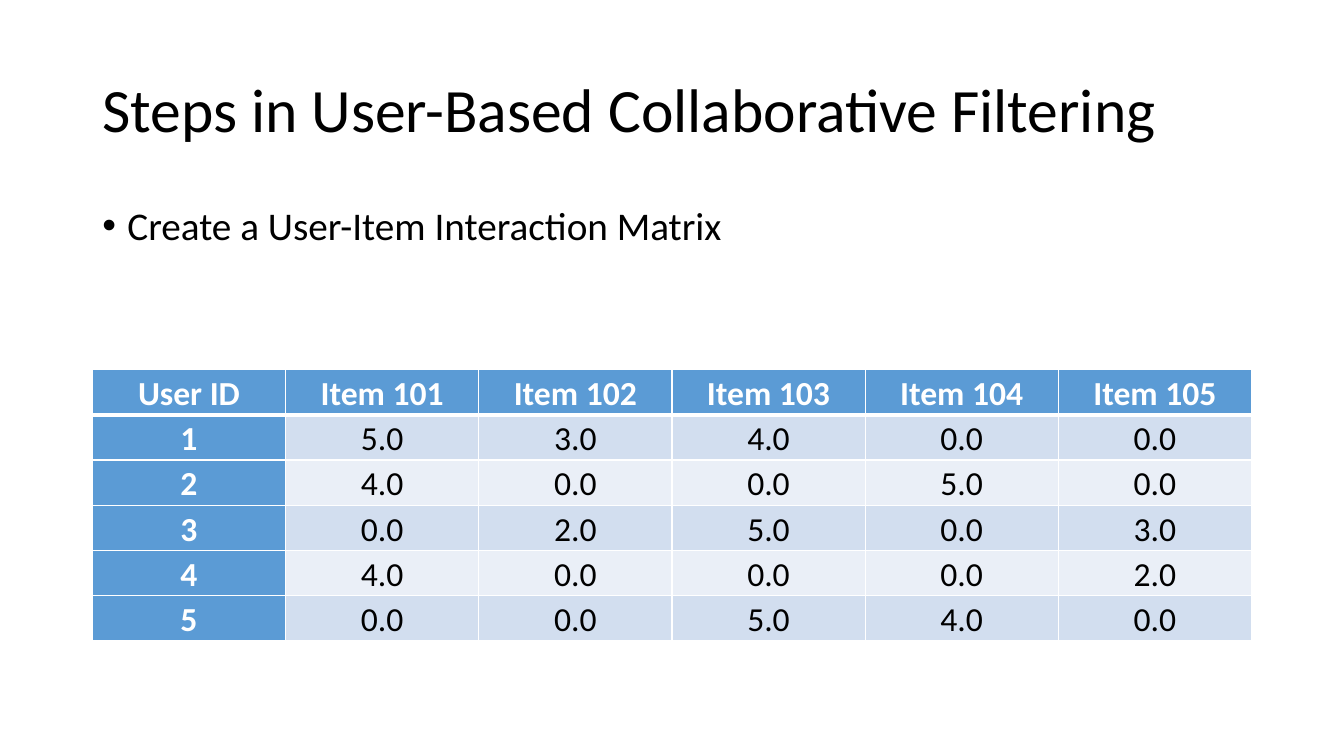
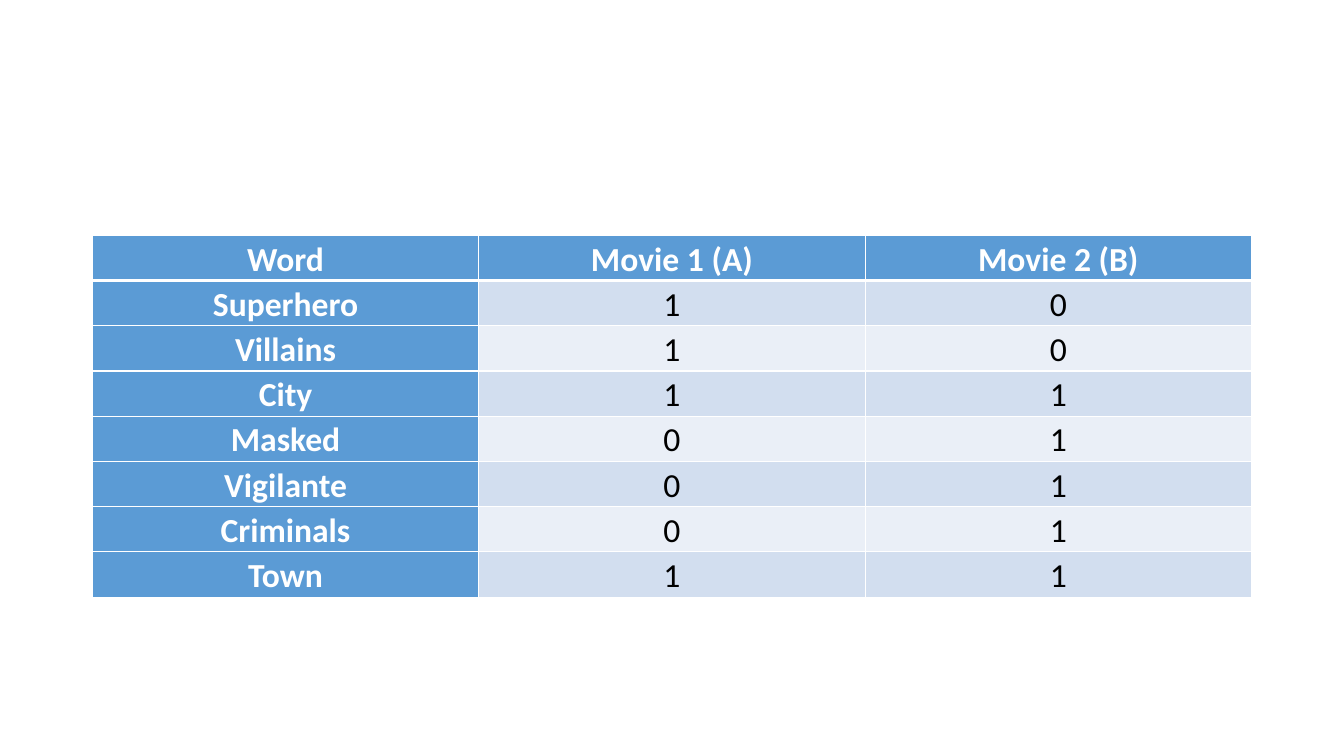
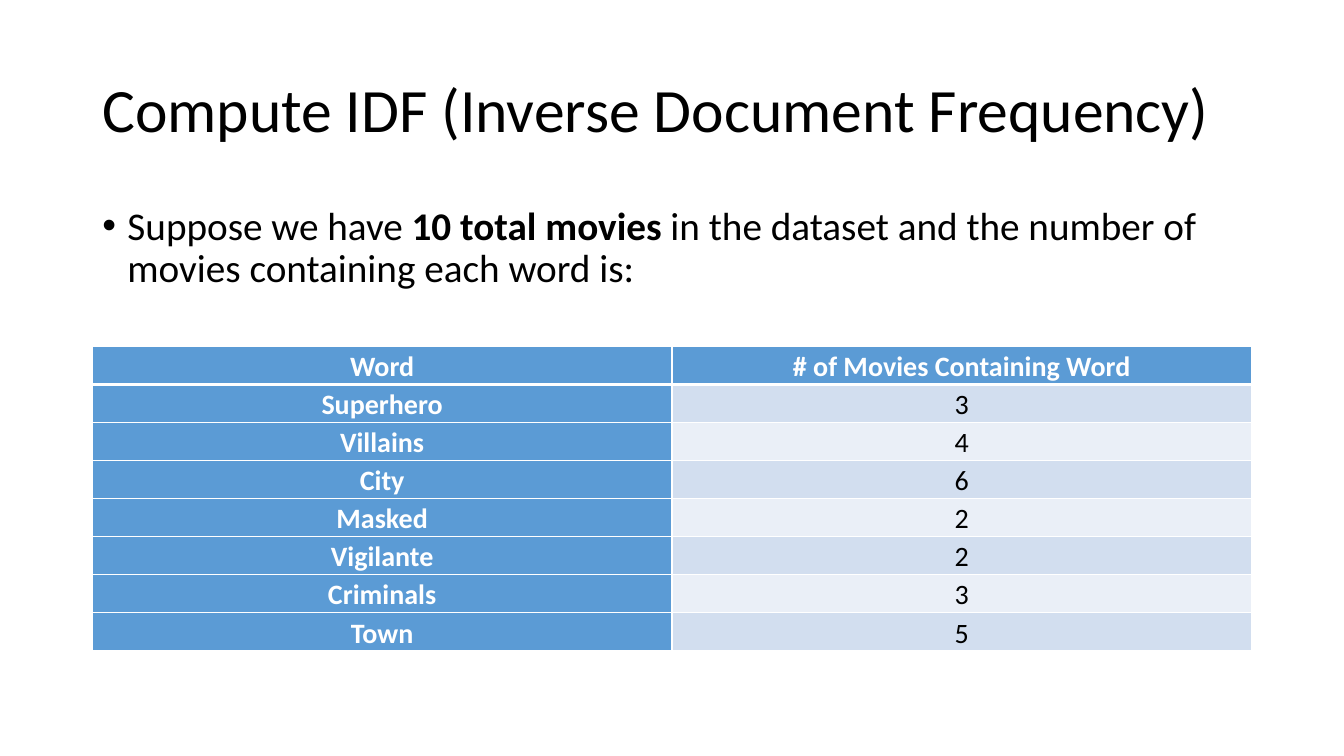
import pptx
import pptx.dml.color
import pptx.enum.text
import pptx.oxml
import pptx.oxml.ns
import pptx.util

PX = 9525
SLIDE_SIZE = (1280, 720)
LEFT, WIDTH = 88, 1104
TITLE_AREA = (LEFT, 38, WIDTH, 139)
BODY_AREA = (LEFT, 192, WIDTH, 457)
BULLET_INDENT = 24
CELL_MARGIN = 1

FONT = "Calibri"
BLACK = pptx.dml.color.RGBColor(0x00, 0x00, 0x00)
WHITE = pptx.dml.color.RGBColor(0xFF, 0xFF, 0xFF)
BLUE = pptx.dml.color.RGBColor(0x5B, 0x9B, 0xD5)
BANDS = (
    pptx.dml.color.RGBColor(0xD2, 0xDE, 0xEF),
    pptx.dml.color.RGBColor(0xEA, 0xEF, 0xF7),
)
THIN, THICK = 1, 3

MIDDLE = pptx.enum.text.MSO_ANCHOR.MIDDLE
TOP = pptx.enum.text.MSO_ANCHOR.TOP
TITLE_PARA = {"line_spacing": 0.9}
BODY_PARA = {"line_spacing": 0.9, "space_before": pptx.util.Pt(10)}
CELL_PARA = {"line_spacing": 1.07, "alignment": pptx.enum.text.PP_ALIGN.CENTER}
CELL_FORMAT = {"vertical_anchor": MIDDLE}
CELL_FORMAT.update({
    f"margin_{side}": CELL_MARGIN * PX for side in ("left", "right", "top", "bottom")
})
TABLE_FORMAT = {"first_row": False, "horz_banding": False}

SLIDES = [
    {
        "title": "Steps in User-Based Collaborative Filtering",
        "body": [("Create a User-Item Interaction Matrix", False)],
        "top": 352, "row_height": 43, "size": 24,
        "rows": [
            ("User ID", "Item 101", "Item 102", "Item 103", "Item 104", "Item 105"),
            ("1", "5.0", "3.0", "4.0", "0.0", "0.0"),
            ("2", "4.0", "0.0", "0.0", "5.0", "0.0"),
            ("3", "0.0", "2.0", "5.0", "0.0", "3.0"),
            ("4", "4.0", "0.0", "0.0", "0.0", "2.0"),
            ("5", "0.0", "0.0", "5.0", "4.0", "0.0"),
        ],
    },
    {
        "top": 224, "row_height": 43, "size": 24,
        "rows": [
            ("Word", "Movie 1 (A)", "Movie 2 (B)"),
            ("Superhero", "1", "0"),
            ("Villains", "1", "0"),
            ("City", "1", "1"),
            ("Masked", "0", "1"),
            ("Vigilante", "0", "1"),
            ("Criminals", "0", "1"),
            ("Town", "1", "1"),
        ],
    },
    {
        "title": "Compute IDF (Inverse Document Frequency)",
        "body": [
            ("Suppose we have ", False),
            ("10 total movies", True),
            (" in the dataset and the number of movies containing each word is:", False),
        ],
        "top": 330, "row_height": 36, "size": 20,
        "rows": [
            ("Word", "# of Movies Containing Word"),
            ("Superhero", "3"),
            ("Villains", "4"),
            ("City", "6"),
            ("Masked", "2"),
            ("Vigilante", "2"),
            ("Criminals", "3"),
            ("Town", "5"),
        ],
    },
]


def apply(target, values):
    for name, value in values.items():
        setattr(target, name, value)


def write(para, spans, size, color, para_format):
    """Fill a paragraph with (text, bold) spans."""
    apply(para, para_format)
    for text, bold in spans:
        span = para.add_run()
        span.text = text
        apply(span.font, {"name": FONT, "size": pptx.util.Pt(size), "bold": bold})
        span.font.color.rgb = color


def add_text(page, area, spans, size, para_format, anchor):
    box = page.shapes.add_textbox(*(length * PX for length in area))
    apply(box.text_frame, {"word_wrap": True, "vertical_anchor": anchor})
    para = box.text_frame.paragraphs[0]
    write(para, spans, size, BLACK, para_format)
    return para


def add_bullet(para):
    properties = para._p.get_or_add_pPr()
    properties.set("marL", str(BULLET_INDENT * PX))
    properties.set("indent", str(-BULLET_INDENT * PX))
    namespace = pptx.oxml.ns.nsdecls("a")
    for markup in (f'<a:buFont {namespace} typeface="Arial"/>',
                   f'<a:buChar {namespace} char="•"/>'):
        properties.append(pptx.oxml.parse_xml(markup))


def set_borders(cell, row_index):
    """Draw white cell borders, thick between the header and the first row."""
    widths = {
        "lnL": THIN,
        "lnR": THIN,
        "lnT": THICK if row_index == 1 else THIN,
        "lnB": THICK if row_index == 0 else THIN,
    }
    properties = cell._tc.get_or_add_tcPr()
    for position, (tag, width) in enumerate(widths.items()):
        line = pptx.oxml.parse_xml(
            f'<a:{tag} {pptx.oxml.ns.nsdecls("a")} w="{pptx.util.Pt(width)}">'
            f'<a:solidFill><a:srgbClr val="{WHITE}"/></a:solidFill></a:{tag}>')
        properties.insert(position, line)


def add_table(page, rows, top, row_height, size):
    frame = page.shapes.add_table(
        len(rows), len(rows[0]), LEFT * PX, top * PX,
        WIDTH * PX, row_height * len(rows) * PX)
    table = frame.table
    apply(table, TABLE_FORMAT)
    for row_index, texts in enumerate(rows):
        for column_index, text in enumerate(texts):
            heading = row_index == 0 or column_index == 0
            cell = table.cell(row_index, column_index)
            apply(cell, CELL_FORMAT)
            cell.fill.solid()
            cell.fill.fore_color.rgb = BLUE if heading else BANDS[(row_index - 1) % 2]
            set_borders(cell, row_index)
            write(cell.text_frame.paragraphs[0], [(text, heading)], size,
                  WHITE if heading else BLACK, CELL_PARA)


def main():
    deck = pptx.Presentation()
    deck.slide_width, deck.slide_height = (length * PX for length in SLIDE_SIZE)
    for content in SLIDES:
        page = deck.slides.add_slide(deck.slide_layouts[6])
        if "title" in content:
            add_text(page, TITLE_AREA, [(content["title"], False)], 44, TITLE_PARA, MIDDLE)
            add_bullet(add_text(page, BODY_AREA, content["body"], 28, BODY_PARA, TOP))
        add_table(page, content["rows"], content["top"],
                  content["row_height"], content["size"])
    deck.save("out.pptx")


if __name__ == "__main__":
    main()
